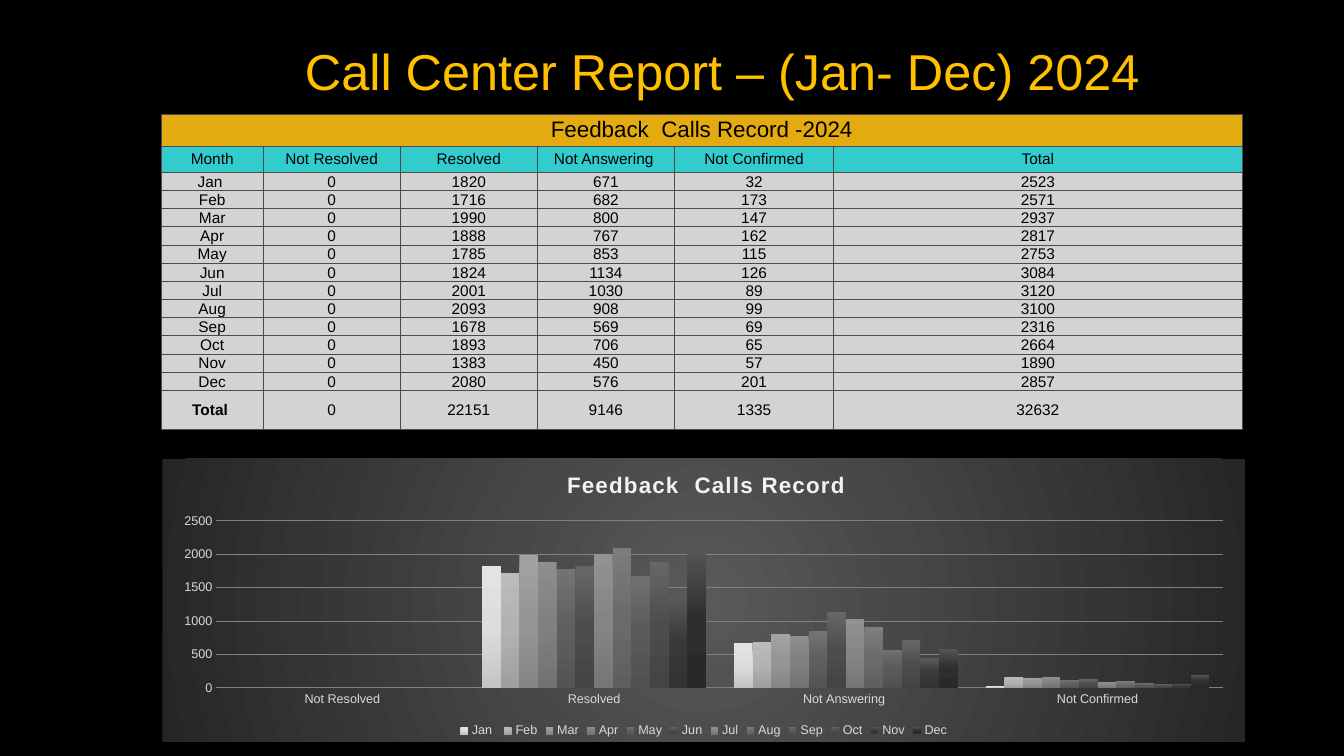
"""Build the yearly call center report slide with its table and column chart."""
import lxml.etree
import pptx
import pptx.chart.data
import pptx.dml.color
import pptx.enum.chart
import pptx.enum.text
import pptx.oxml
import pptx.oxml.ns
import pptx.util

Inches = pptx.util.Inches
ANCHOR = pptx.enum.text.MSO_ANCHOR
NS = pptx.oxml.ns.nsdecls("a", "c")

COLORS = {
    "page": "000000", "title": "FFC000", "ink": "000000",
    "banner": "E3AB0F", "header": "33CCCC", "body": "D3D3D3", "border": "4B4B4B",
    "chart title": "F2F2F2", "chart text": "FFFFFF", "label": "D9D9D9", "grid": "808080",
    "chart center": "595959", "chart edge": "262626",
}
SHADES = {
    "Jan ": "E3E3E3 DDDDDD C4C4C4", "Feb": "BBBBBB B2B2B2 9E9E9E",
    "Mar": "A2A2A2 969696 858585", "Apr": "8E8E8E 808080 727272",
    "May": "737373 5F5F5F 545454", "Jun": "666666 4D4D4D 444444",
    "Jul": "929292 858585 767676", "Aug": "7D7D7D 6B6B6B 5F5F5F",
    "Sep": "707070 5A5A5A 505050", "Oct": "666666 4D4D4D 444444",
    "Nov": "5A5A5A 393939 333333", "Dec": "555555 2E2E2E 292929",
}
OUTCOMES = ["Not Resolved", "Resolved", "Not Answering ", "Not Confirmed"]
CALLS = {
    "Jan ": (0, 1820, 671, 32), "Feb": (0, 1716, 682, 173), "Mar": (0, 1990, 800, 147),
    "Apr": (0, 1888, 767, 162), "May": (0, 1785, 853, 115), "Jun": (0, 1824, 1134, 126),
    "Jul": (0, 2001, 1030, 89), "Aug": (0, 2093, 908, 99), "Sep": (0, 1678, 569, 69),
    "Oct": (0, 1893, 706, 65), "Nov": (0, 1383, 450, 57), "Dec": (0, 2080, 576, 201),
}
COLUMN_WIDTHS = [1.01, 1.36, 1.36, 1.36, 1.58, 4.05]
ROW_HEIGHTS = [0.31, 0.26] + [0.18] * len(CALLS) + [0.39]


def rgb(name):
    return pptx.dml.color.RGBColor.from_string(COLORS[name])


def style_font(font, size, color, bold=False):
    font.name, font.size, font.bold = "Arial", pptx.util.Pt(size), bold
    font.color.rgb = rgb(color)


def write(frame, text, size=11, color="ink", bold=False, spacing=None, leading=None):
    para = frame.paragraphs[0]
    para.alignment = pptx.enum.text.PP_ALIGN.CENTER
    if leading:
        para.line_spacing = leading
    span = para.add_run()
    span.text = text
    style_font(span.font, size, color, bold)
    if spacing:
        span.font._element.set("spc", str(spacing))


def gradient(shades, direction):
    step = 100000 // (len(shades) - 1)
    stops = "".join(f'<a:gs pos="{index * step}"><a:srgbClr val="{shade}"/></a:gs>'
                    for index, shade in enumerate(shades))
    return f'<a:gradFill {NS} rotWithShape="1"><a:gsLst>{stops}</a:gsLst>{direction}</a:gradFill>'


def place_part(part, **settings):
    for layout in part.findall(pptx.oxml.ns.qn("c:layout")):
        part.remove(layout)
    values = "".join(f'<c:{key} val="{value}"/>' for key, value in settings.items())
    return pptx.oxml.parse_xml(
        f'<c:layout {NS}><c:manualLayout>{values}</c:manualLayout></c:layout>')


class ReportSlide:
    def __init__(self, deck):
        self.page = deck.slides.add_slide(deck.slide_layouts[6])
        self.page.background.fill.solid()
        self.page.background.fill.fore_color.rgb = rgb("page")

    def title(self, text, *place):
        box = self.page.shapes.add_textbox(*map(Inches, place))
        frame = box.text_frame
        frame.word_wrap = True
        frame.vertical_anchor = ANCHOR.MIDDLE
        frame.margin_left = frame.margin_right = Inches(0.1)
        frame.margin_top = frame.margin_bottom = Inches(0.1)
        write(frame, text, size=36, color="title")

    def cell(self, cell, text, fill, anchor=ANCHOR.MIDDLE, **text_format):
        cell.margin_left = cell.margin_right = Inches(0.01)
        cell.margin_top = cell.margin_bottom = 0
        cell.vertical_anchor = anchor
        for side in ("lnL", "lnR", "lnT", "lnB"):
            cell._tc.get_or_add_tcPr().append(pptx.oxml.parse_xml(
                f'<a:{side} {NS} w="9525"><a:solidFill><a:srgbClr val="{COLORS["border"]}"/>'
                f'</a:solidFill></a:{side}>'))
        cell.fill.solid()
        cell.fill.fore_color.rgb = rgb(fill)
        if text:
            write(cell.text_frame, text, leading=0.98, **text_format)

    def table(self, banner, rows, *place):
        shape = self.page.shapes.add_table(len(rows) + 1, len(COLUMN_WIDTHS), *map(Inches, place))
        table = shape.table
        table.first_row = table.horz_banding = False
        for column, width in zip(table.columns, COLUMN_WIDTHS):
            column.width = Inches(width)
        for row, height in zip(table.rows, ROW_HEIGHTS):
            row.height = Inches(height)
        for index in range(len(COLUMN_WIDTHS)):
            self.cell(table.cell(0, index), "" if index else banner, "banner", size=16)
        table.cell(0, 0).merge(table.cell(0, len(COLUMN_WIDTHS) - 1))
        for number, values in enumerate(rows, 1):
            for index, value in enumerate(values):
                self.cell(table.cell(number, index), str(value),
                          "header" if number == 1 else "body",
                          ANCHOR.MIDDLE if number in (1, len(rows)) else ANCHOR.BOTTOM,
                          bold=number == len(rows) and index == 0)

    def axis(self, axis):
        axis.major_tick_mark = axis.minor_tick_mark = pptx.enum.chart.XL_TICK_MARK.NONE
        axis.format.line.fill.background()
        style_font(axis.tick_labels.font, 9, "label")

    def chart(self, title, *place):
        data = pptx.chart.data.CategoryChartData()
        data.categories = OUTCOMES
        for month, counts in CALLS.items():
            data.add_series(month, [round(count, -1) for count in counts])
        chart = self.page.shapes.add_chart(
            pptx.enum.chart.XL_CHART_TYPE.COLUMN_CLUSTERED, *map(Inches, place), data).chart
        style_font(chart.font, 10, "chart text")
        chart.has_title = True
        write(chart.chart_title.text_frame, title, size=16, color="chart title",
              bold=True, spacing=100)
        chart.chart_title.include_in_layout = False
        chart.has_legend = True
        chart.legend.position = pptx.enum.chart.XL_LEGEND_POSITION.BOTTOM
        chart.legend.include_in_layout = False
        style_font(chart.legend.font, 9, "label")
        self.axis(chart.category_axis)
        self.axis(chart.value_axis)
        chart.value_axis.minimum_scale, chart.value_axis.maximum_scale = 0, 2500
        chart.value_axis.major_unit = 500
        grid = chart.value_axis.major_gridlines.format.line
        grid.width, grid.color.rgb = pptx.util.Pt(0.75), rgb("grid")
        plot = chart.plots[0]
        plot.vary_by_categories, plot.gap_width, plot.overlap = False, 150, 0
        for series in plot.series:
            series._element.get_or_add_spPr().append(pptx.oxml.parse_xml(
                gradient(SHADES[series.name].split(), '<a:lin ang="5400000" scaled="0"/>')))
        self.chart_area(chart)

    def chart_area(self, chart):
        chart_xml = chart._chartSpace.chart
        backdrop = gradient(
            [COLORS["chart center"], COLORS["chart edge"]],
            '<a:path path="circle"><a:fillToRect l="50000" t="50000" r="50000" b="50000"/></a:path>')
        chart_xml.addnext(pptx.oxml.parse_xml(
            f'<c:spPr {NS}>{backdrop}<a:ln><a:noFill/></a:ln></c:spPr>'))
        chart_xml.plotArea.insert(0, place_part(
            chart_xml.plotArea, layoutTarget="inner", xMode="edge", yMode="edge",
            x=0.05, y=0.22, w=0.93, h=0.59))
        heading = chart_xml.find(pptx.oxml.ns.qn("c:title"))
        spot = place_part(heading, xMode="edge", yMode="edge", x=0.37, y=0.03)
        heading.find(pptx.oxml.ns.qn("c:tx")).addnext(spot)


def main():
    deck = pptx.Presentation()
    deck.slide_width, deck.slide_height = Inches(13.33), Inches(7.5)
    totals = [sum(column) for column in zip(*CALLS.values())]
    rows = [["Month", *OUTCOMES, "Total"]]
    rows += [[month, *counts, sum(counts)] for month, counts in CALLS.items()]
    rows.append(["Total ", *totals, sum(totals)])
    report = ReportSlide(deck)
    report.title("Call Center Report – (Jan- Dec) 2024", 1.6, 0.24, 11.13, 0.92)
    report.table("Feedback  Calls Record -2024", rows, 1.6, 1.14, 10.72, sum(ROW_HEIGHTS))
    report.chart("Feedback  Calls Record", 1.61, 4.55, 10.74, 2.81)
    deck.save("out.pptx")


if __name__ == "__main__":
    main()
